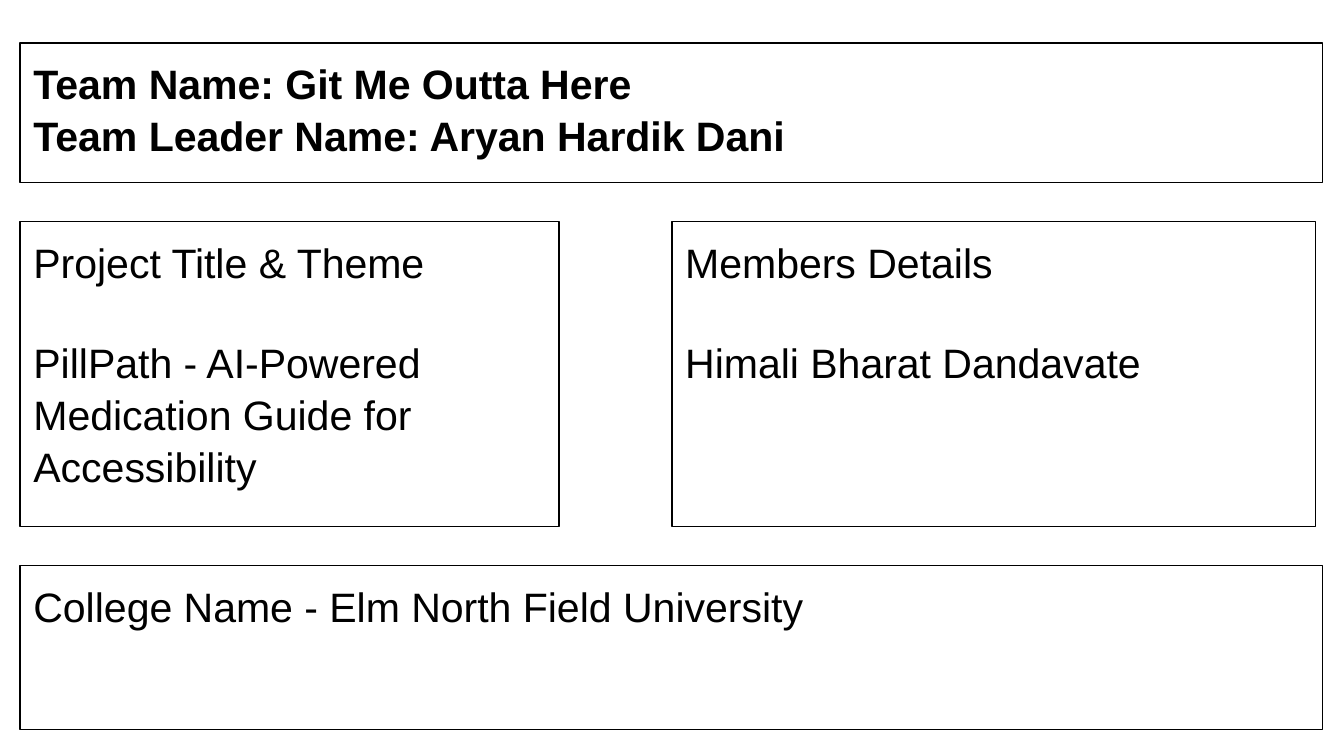
from pptx import Presentation
from pptx.dml.color import RGBColor
from pptx.enum.shapes import MSO_SHAPE
from pptx.enum.text import MSO_ANCHOR, PP_ALIGN
from pptx.util import Pt

RECT = MSO_SHAPE.RECTANGLE
TOP = MSO_ANCHOR.TOP
LEFT = PP_ALIGN.LEFT
FONT = "Arial"
BLACK = "000000"
TEXT_SIZE = 22
LINE_SPACING = 1.05
HEADING_GAP = 26
INSET = 7.2
MARGIN = 10.8
FULL_WIDTH = 697.7
MIDDLE_TOP = 118.8
MIDDLE_HEIGHT = 163.4


def color(hex_string):
    """Turn a hex string into a colour."""
    return RGBColor.from_string(hex_string)


def add_text(tf, lines, bold, gap):
    """Write one paragraph per line, with a gap between paragraphs."""
    for i, line in enumerate(lines):
        p = tf.paragraphs[0] if i == 0 else tf.add_paragraph()
        p.alignment = LEFT
        p.line_spacing = LINE_SPACING
        p.space_before = Pt(gap if i else 0)
        r = p.add_run()
        r.text = line
        r.font.name = FONT
        r.font.size = Pt(TEXT_SIZE)
        r.font.bold = bold
        r.font.color.rgb = color(BLACK)


def add_box(s, left, top, width, height, lines, bold=False, gap=0):
    """Add an outlined box with text at its top left."""
    sp = s.shapes.add_shape(RECT, Pt(left), Pt(top), Pt(width), Pt(height))
    sp.shadow.inherit = False
    sp.fill.background()
    sp.line.color.rgb = color(BLACK)
    sp.line.width = Pt(0.75)
    tf = sp.text_frame
    tf.word_wrap = True
    tf.vertical_anchor = TOP
    tf.margin_left = tf.margin_right = Pt(INSET)
    tf.margin_top = tf.margin_bottom = Pt(INSET)
    add_text(tf, lines, bold, gap)


def main():
    """Build the team details slide."""
    prs = Presentation()
    prs.slide_width, prs.slide_height = Pt(720), Pt(405)
    s = prs.slides.add_slide(prs.slide_layouts[6])
    s.background.fill.solid()
    s.background.fill.fore_color.rgb = color("FFFFFF")
    add_box(s, MARGIN, 303.1, FULL_WIDTH, 87.8,
            ["College Name - Elm North Field University"])
    add_box(s, MARGIN, 23, FULL_WIDTH, 74.9,
            ["Team Name: Git Me Outta Here",
             "Team Leader Name: Aryan Hardik Dani"], bold=True)
    project = ["Project Title & Theme",
               "PillPath - AI-Powered Medication Guide for Accessibility"]
    members = ["Members Details", "Himali Bharat Dandavate"]
    for left, width, lines in [(MARGIN, 288.7, project), (360, 344.9, members)]:
        add_box(s, left, MIDDLE_TOP, width, MIDDLE_HEIGHT, lines, gap=HEADING_GAP)
    prs.save("out.pptx")


if __name__ == "__main__":
    main()
